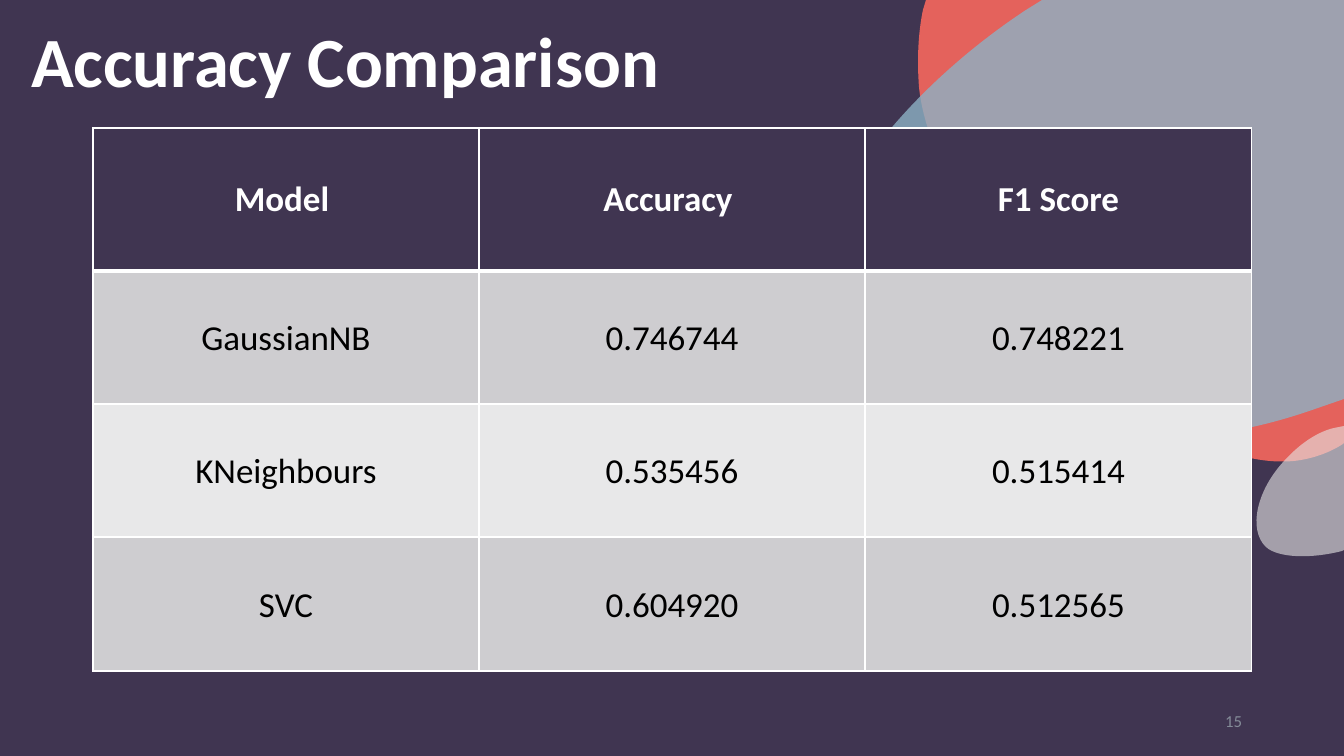
from dataclasses import dataclass

from lxml.etree import SubElement
from pptx import Presentation
from pptx.dml.color import RGBColor
from pptx.enum.text import MSO_ANCHOR, MSO_AUTO_SIZE, PP_ALIGN
from pptx.oxml.ns import qn
from pptx.util import Emu, Pt

PIXEL = 914400 / 100.8
FONT = "Calibri"
PURPLE = RGBColor(0x40, 0x35, 0x51)
CORAL = RGBColor(0xE4, 0x62, 0x5C)
BLUE = RGBColor(0x8D, 0xB1, 0xC4)
PALE = RGBColor(0xE7, 0xE6, 0xE6)
RED = RGBColor(0xD0, 0x34, 0x3C)
WHITE = RGBColor(0xFF, 0xFF, 0xFF)
BLACK = RGBColor(0x00, 0x00, 0x00)
DARK_BAND = RGBColor(0xCE, 0xCD, 0xD0)
LIGHT_BAND = RGBColor(0xE8, 0xE8, 0xE9)
NUMBER_GREY = RGBColor(0x84, 0x8B, 0x98)
THIN, THICK = Pt(0.96), Pt(3)

Point = tuple[int, int]


@dataclass(frozen=True)
class Blob:
    color: RGBColor
    opacity: int
    top_left: Point
    bottom_right: Point
    corners: list[Point]
    curves: list[tuple[Point, Point, Point]]


BLOBS = [
    Blob(CORAL, 100, (918, 0), (1344, 462),
         [(926, 0), (1344, 0), (1344, 443), (1343, 444)], [
             ((1329, 453), (1312, 459), (1294, 461)),
             ((1149, 475), (933, 227), (919, 87)),
             ((917, 60), (918, 34), (923, 10)),
         ]),
    Blob(BLUE, 80, (815, 0), (1344, 443),
         [(1042, 0), (1344, 0), (1344, 399), (1315, 409)], [
             ((1281, 421), (1248, 429), (1219, 433)),
             ((1059, 460), (867, 429), (825, 339)),
             ((780, 244), (891, 99), (1026, 10)),
         ]),
    Blob(PALE, 60, (1256, 426), (1344, 556),
         [(1344, 426), (1344, 550), (1342, 551)], [
             ((1311, 559), (1278, 558), (1266, 547)),
             ((1248, 530), (1256, 490), (1286, 459)),
             ((1300, 444), (1317, 432), (1334, 428)),
         ]),
    Blob(PALE, 70, (704, 181), (801, 279), [(797, 265)], [
        ((806, 249), (791, 199), (766, 185)),
        ((741, 172), (716, 200), (707, 217)),
        ((698, 233), (711, 258), (736, 271)),
        ((761, 285), (788, 282), (797, 265)),
    ]),
    Blob(RED, 100, (1118, 549), (1184, 613), [(1119, 557)], [
        ((1114, 569), (1126, 601), (1143, 610)),
        ((1161, 619), (1177, 603), (1182, 592)),
        ((1188, 582), (1178, 565), (1161, 556)),
        ((1143, 546), (1125, 547), (1119, 557)),
    ]),
]

SCORES = [
    ["Model ", "Accuracy ", "F1 Score"],
    ["GaussianNB", "0.746744", "0.748221"],
    ["KNeighbours", "0.535456", "0.515414"],
    ["SVC", "0.604920", "0.512565"],
]
COLUMN_WIDTHS = [386, 386, 387]
ROW_HEIGHTS = [143, 133, 133, 134]


def px(length: int) -> Emu:
    return Emu(round(length * PIXEL))


def trace_outline(outline, blob: Blob) -> None:
    left, top = blob.top_left
    for child in list(outline):
        outline.remove(child)
    commands = [("a:moveTo", blob.corners[:1])]
    commands += [("a:lnTo", [corner]) for corner in blob.corners[1:]]
    commands += [("a:cubicBezTo", curve) for curve in blob.curves]
    for tag, points in commands:
        command = SubElement(outline, qn(tag))
        for x, y in points:
            SubElement(command, qn("a:pt"), x=str(px(x - left)), y=str(px(y - top)))
    SubElement(outline, qn("a:close"))
    outline.set("w", str(px(blob.bottom_right[0] - left)))
    outline.set("h", str(px(blob.bottom_right[1] - top)))


def add_blob(slide, blob: Blob) -> None:
    builder = slide.shapes.build_freeform(*blob.top_left, scale=PIXEL)
    builder.add_line_segments([blob.bottom_right], close=True)
    shape = builder.convert_to_shape()
    trace_outline(shape._element.find(".//" + qn("a:path")), blob)
    shape.shadow.inherit = False
    shape.line.fill.background()
    shape.fill.solid()
    shape.fill.fore_color.rgb = blob.color
    if blob.opacity < 100:
        color = shape._element.find(".//" + qn("a:srgbClr"))
        SubElement(color, qn("a:alpha"), val=str(blob.opacity * 1000))


def write(text_frame, text: str, size: float, color: RGBColor, align: PP_ALIGN,
          bold: bool = False, spacing: float = 1.0) -> None:
    text_frame.text = text
    paragraph = text_frame.paragraphs[0]
    paragraph.alignment = align
    paragraph.line_spacing = spacing
    font = paragraph.runs[0].font
    font.name, font.size, font.bold = FONT, Pt(size), bold
    font.color.rgb = color


def add_borders(cell, top: Emu, bottom: Emu) -> None:
    properties = cell._tc.get_or_add_tcPr()
    widths = {"a:lnL": THIN, "a:lnR": THIN, "a:lnT": top, "a:lnB": bottom}
    for index, (tag, width) in enumerate(widths.items()):
        line = SubElement(properties, qn(tag), w=str(int(width)))
        fill = SubElement(line, qn("a:solidFill"))
        SubElement(fill, qn("a:srgbClr"), val=str(WHITE))
        properties.insert(index, line)


def add_scores(slide) -> None:
    frame = slide.shapes.add_table(
        len(SCORES), len(COLUMN_WIDTHS), px(93), px(128),
        px(sum(COLUMN_WIDTHS)), px(sum(ROW_HEIGHTS)))
    table = frame.table
    for column, width in zip(table.columns, COLUMN_WIDTHS):
        column.width = px(width)
    for row_index, (values, height) in enumerate(zip(SCORES, ROW_HEIGHTS)):
        table.rows[row_index].height = px(height)
        header = row_index == 0
        band = DARK_BAND if row_index % 2 else LIGHT_BAND
        for column_index, value in enumerate(values):
            cell = table.cell(row_index, column_index)
            cell.vertical_anchor = MSO_ANCHOR.MIDDLE
            if not header:
                cell.margin_left = cell.margin_right = px(7)
            cell.fill.solid()
            cell.fill.fore_color.rgb = PURPLE if header else band
            write(cell.text_frame, value, 25, WHITE if header else BLACK,
                  PP_ALIGN.CENTER, header, 1.0 if header else 1.07)
            add_borders(cell, THICK if row_index == 1 else THIN,
                        THICK if header else THIN)


def add_title(slide) -> None:
    title = slide.shapes.title
    title.left, title.top = px(21), px(21)
    title.width, title.height = px(1159), px(87)
    title.text_frame.auto_size = MSO_AUTO_SIZE.NONE
    title.text_frame.vertical_anchor = MSO_ANCHOR.BOTTOM
    write(title.text_frame, "Accuracy Comparison", 50.4, WHITE,
          PP_ALIGN.LEFT, True, 0.9)


def add_slide_number(slide) -> None:
    number = slide.shapes.add_textbox(px(950), px(701), px(302), px(40))
    number.text_frame.word_wrap = True
    number.text_frame.vertical_anchor = MSO_ANCHOR.MIDDLE
    write(number.text_frame, "15", 12, NUMBER_GREY, PP_ALIGN.RIGHT)


def main() -> None:
    presentation = Presentation()
    presentation.slide_width, presentation.slide_height = px(1344), px(756)
    slide = presentation.slides.add_slide(presentation.slide_layouts[5])
    slide.background.fill.solid()
    slide.background.fill.fore_color.rgb = PURPLE
    for blob in BLOBS:
        add_blob(slide, blob)
    add_title(slide)
    add_scores(slide)
    add_slide_number(slide)
    presentation.save("out.pptx")


main()
